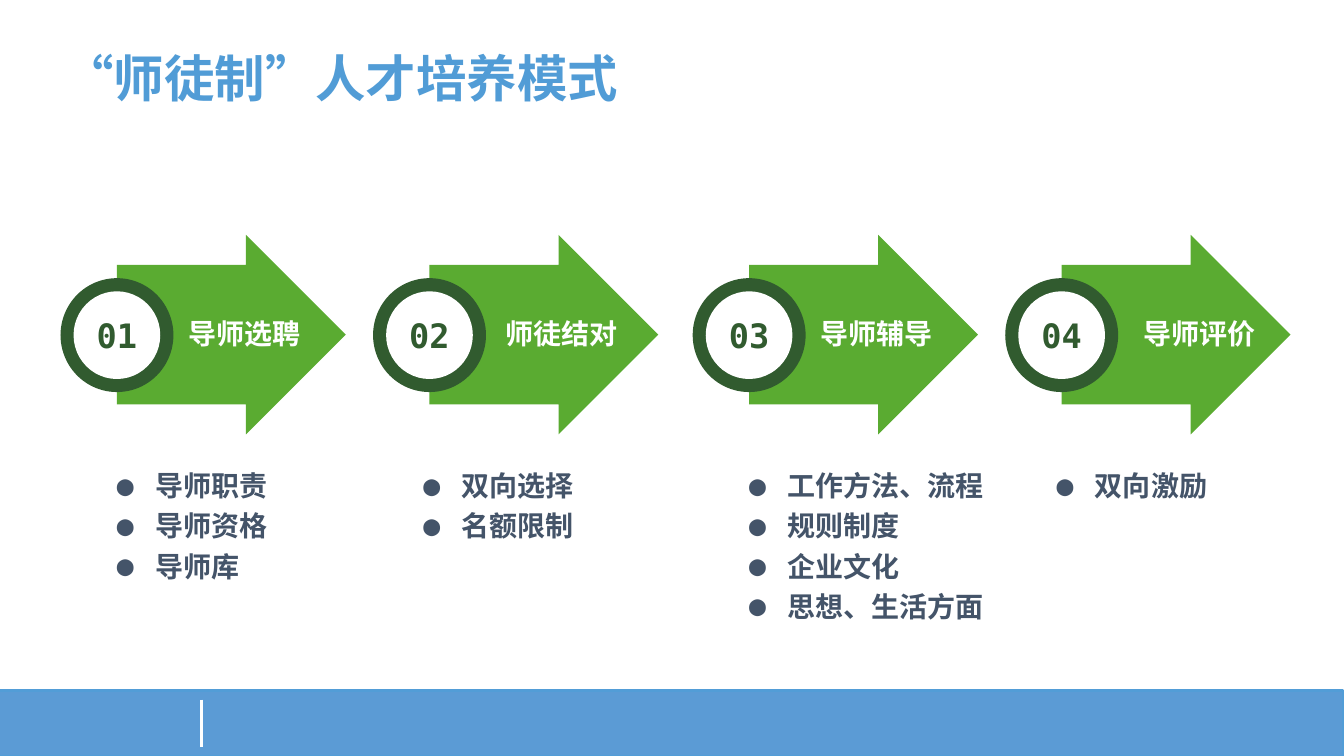
from lxml import etree
from pptx import Presentation
from pptx.dml.color import RGBColor
from pptx.enum.shapes import MSO_CONNECTOR, MSO_SHAPE
from pptx.enum.text import MSO_ANCHOR, MSO_AUTO_SIZE, PP_ALIGN
from pptx.oxml.ns import qn
from pptx.util import Inches, Pt

# Content
TITLE = "“师徒制”人才培养模式"
# number, label, list items, arrow left, label left, list left
STAGES = [
    ("01", "导师选聘", ["导师职责", "导师资格", "导师库"], 1.16, 1.87, 1.16),
    ("02", "师徒结对", ["双向选择", "名额限制"], 4.26, 5.01, 4.2),
    ("03", "导师辅导", ["工作方法、流程", "规则制度", "企业文化", "思想、生活方面"],
     7.43, 8.14, 7.43),
    ("04", "导师评价", ["双向激励"], 10.53, 11.34, 10.48),
]

# Style
TITLE_FONT, BODY_FONT = "Noto Sans CJK SC", "DejaVu Sans Mono"
TITLE_BLUE, BAR_BLUE, BAR_EDGE = "519CD6", "5B9BD5", "529DD7"
GREEN, DARK_GREEN, WHITE, SLATE = "5AAB31", "315B2F", "FFFFFF", "445469"
ARROW_TOP, ARROW_WIDTH, ARROW_HEIGHT = 2.33, 2.27, 1.98
RING_OFFSET, RING_BORDER = 0.56, 0.13
LINE_HEIGHT, LINE_PITCH = 0.34, 0.4


def color(value):
    return RGBColor.from_string(value)


def box(left, top, width, height):
    return [Inches(length) for length in (left, top, width, height)]


def place(shape, left, top, width, height):
    shape.left, shape.top, shape.width, shape.height = box(left, top, width, height)


def add_filled(slide, kind, bounds, fill):
    shape = slide.shapes.add_shape(kind, *box(*bounds))
    shape.shadow.inherit = False
    shape.fill.solid()
    shape.fill.fore_color.rgb = color(fill)
    shape.line.fill.background()
    return shape


def add_run(paragraph, text, size, value, font=BODY_FONT):
    run = paragraph.add_run()
    run.text = text
    run.font.size = Pt(size)
    run.font.bold = True
    run.font.color.rgb = color(value)
    run.font.name = font
    east_asian = etree.SubElement(run.font._element, qn("a:ea"))
    east_asian.set("typeface", font)


def set_frame(frame, anchor, margin=0):
    frame.word_wrap = True
    frame.auto_size = MSO_AUTO_SIZE.NONE
    frame.vertical_anchor = anchor
    frame.margin_left = frame.margin_right = Inches(margin)
    frame.margin_top = frame.margin_bottom = Inches(margin / 2)


def set_bullet(paragraph):
    properties = paragraph._p.get_or_add_pPr()
    properties.set("marL", str(Inches(0.38)))
    properties.set("indent", str(Inches(-0.38)))
    etree.SubElement(properties, qn("a:buFont")).set("typeface", BODY_FONT)
    etree.SubElement(properties, qn("a:buChar")).set("char", "●")


def add_footer(slide):
    bar = add_filled(slide, MSO_SHAPE.RECTANGLE, (-0.01, 6.85, 13.33, 0.65), BAR_BLUE)
    bar.line.color.rgb = color(BAR_EDGE)
    bar.line.width = Pt(1.5)
    divider = slide.shapes.add_connector(
        MSO_CONNECTOR.STRAIGHT, *box(2, 6.94, 2, 7.41))
    divider.line.color.rgb = color(WHITE)
    divider.line.width = Pt(2.25)
    etree.SubElement(divider._element.spPr, qn("a:effectLst"))


def add_stage(slide, number, label, arrow_left, label_left):
    arrow = add_filled(slide, MSO_SHAPE.RIGHT_ARROW,
                       (arrow_left, ARROW_TOP, ARROW_WIDTH, ARROW_HEIGHT), GREEN)
    arrow.adjustments[0], arrow.adjustments[1] = 0.7, 0.5

    # Numbered ring
    ring_left = arrow_left - RING_OFFSET
    add_filled(slide, MSO_SHAPE.OVAL, (ring_left, 2.76, 1.12, 1.13), DARK_GREEN)
    disc = add_filled(slide, MSO_SHAPE.OVAL,
                      (ring_left + RING_BORDER, 2.76 + RING_BORDER, 0.86, 0.87), WHITE)
    set_frame(disc.text_frame, MSO_ANCHOR.MIDDLE)
    paragraph = disc.text_frame.paragraphs[0]
    paragraph.alignment = PP_ALIGN.CENTER
    add_run(paragraph, number, 24, DARK_GREEN)

    # Label on the arrow
    text_box = slide.shapes.add_textbox(*box(label_left, 3.14, 1.2, LINE_HEIGHT))
    set_frame(text_box.text_frame, MSO_ANCHOR.TOP)
    add_run(text_box.text_frame.paragraphs[0], label, 20, WHITE)


def fill_list(placeholder, items, left):
    height = LINE_HEIGHT + LINE_PITCH * (len(items) - 1)
    place(placeholder, left, 4.65, 2.51, height)
    frame = placeholder.text_frame
    set_frame(frame, MSO_ANCHOR.TOP)
    for index, item in enumerate(items):
        paragraph = frame.add_paragraph() if index else frame.paragraphs[0]
        paragraph.space_before = Pt(4.7)
        set_bullet(paragraph)
        add_run(paragraph, item, 20, SLATE)


def main():
    presentation = Presentation()
    presentation.slide_width, presentation.slide_height = Inches(13.33), Inches(7.5)
    # The comparison layout offers a title and four body placeholders
    slide = presentation.slides.add_slide(presentation.slide_layouts[4])
    title, *lists = slide.placeholders

    # Title
    place(title, 0.53, 0.41, 6, 0.71)
    set_frame(title.text_frame, MSO_ANCHOR.MIDDLE, 0.1)
    paragraph = title.text_frame.paragraphs[0]
    paragraph.alignment = PP_ALIGN.JUSTIFY
    add_run(paragraph, TITLE, 36, TITLE_BLUE, TITLE_FONT)

    # Footer bar and stages
    add_footer(slide)
    for stage, placeholder in zip(STAGES, lists):
        number, label, items, arrow_left, label_left, list_left = stage
        add_stage(slide, number, label, arrow_left, label_left)
        fill_list(placeholder, items, list_left)

    presentation.save("out.pptx")


if __name__ == "__main__":
    main()
